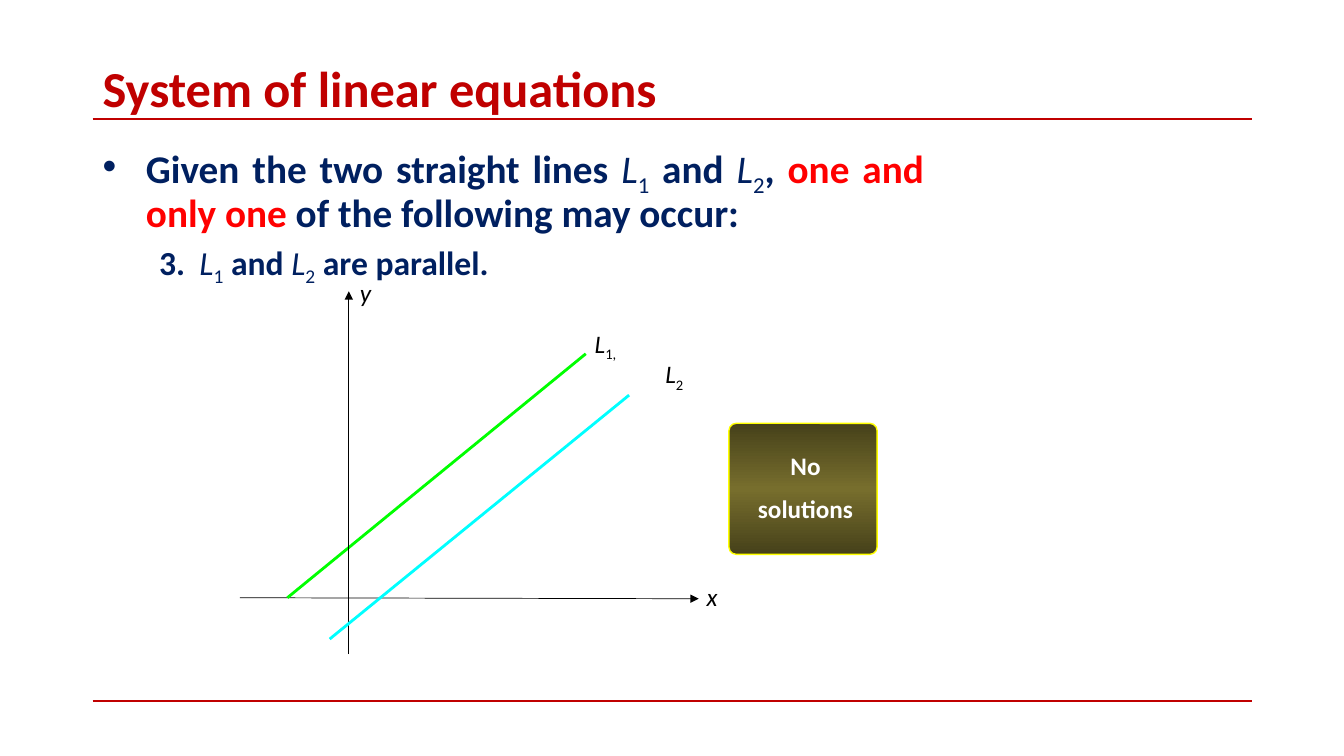
from lxml.etree import SubElement
from pptx import Presentation
from pptx.dml.color import RGBColor
from pptx.enum.shapes import MSO_CONNECTOR as Connector, MSO_SHAPE as Shape
from pptx.enum.text import MSO_ANCHOR as Anchor, PP_ALIGN as Align
from pptx.oxml import parse_xml
from pptx.oxml.ns import nsdecls, qn
from pptx.util import Inches, Pt

RED, NAVY, BRIGHT_RED, BLACK = "C00000", "002060", "FF0000", "000000"


def add_run(paragraph, text, size=18, color=BLACK, bold=False, italic=False, subscript=False):
    run = paragraph.add_run()
    run.text = text
    font = run.font
    font.name, font.size = "Calibri", Pt(size)
    font.bold, font.italic = bold, italic
    font.color.rgb = RGBColor.from_string(color)
    if subscript:
        run._r.get_or_add_rPr().set("baseline", "-25000")


def add_frame(left, top, width, height):
    box = slide.shapes.add_textbox(Inches(left), Inches(top), Inches(width), Inches(height))
    box.text_frame.word_wrap = True
    return box.text_frame


presentation = Presentation()
presentation.slide_width, presentation.slide_height = Inches(13.33), Inches(7.5)
slide = presentation.slides.add_slide(presentation.slide_layouts[6])

solution_box = slide.shapes.add_shape(
    Shape.ROUNDED_RECTANGLE, Inches(7.23), Inches(4.2), Inches(1.47), Inches(1.3))
solution_box.adjustments[0] = 0.056
solution_box.shadow.inherit = False
solution_box.line.color.rgb = RGBColor.from_string("FFFF00")
solution_box.line.width = Pt(1)
solution_box.fill.gradient()
solution_box.fill.gradient_angle = 270
stops = solution_box._element.spPr.find(qn("a:gradFill")).find(qn("a:gsLst"))
for stop in list(stops):
    stops.remove(stop)
for position, color in [(0, "46411A"), (50, "776E2D"), (100, "46411A")]:
    stops.append(parse_xml(
        f'<a:gs {nsdecls("a")} pos="{position * 1000}"><a:srgbClr val="{color}"/></a:gs>'))

title = add_frame(0.92, 0.61, 11.5, 0.58)
title.vertical_anchor = Anchor.MIDDLE
title.paragraphs[0].line_spacing = 0.9
add_run(title.paragraphs[0], "System of linear equations", 36, RED, bold=True)

body = add_frame(0.92, 1.39, 8.34, 1.6)
statement = body.paragraphs[0]
case = body.add_paragraph()
case.space_before = Pt(5)
for paragraph, margin, indent in [(statement, 0.43, -0.43), (case, 0.96, -0.4)]:
    paragraph.alignment = Align.JUSTIFY
    paragraph.line_spacing = 0.9
    properties = paragraph._p.get_or_add_pPr()
    properties.set("marL", str(Inches(margin)))
    properties.set("indent", str(Inches(indent)))
bullet_properties = statement._p.get_or_add_pPr()
SubElement(bullet_properties, qn("a:buFont"), typeface="Arial")
SubElement(bullet_properties, qn("a:buChar"), char="•")

for paragraph, size, opening, endings in [
    (statement, 28, "Given the two straight lines ",
     [(", ", NAVY), ("one and only one ", BRIGHT_RED), ("of the following may occur:", NAVY)]),
    (case, 24, "3.\t", [(" are parallel.", NAVY)]),
]:
    for lead, number in [(opening, "1"), (" and ", "2")]:
        add_run(paragraph, lead, size, NAVY, bold=True)
        add_run(paragraph, "L", size, NAVY, italic=True)
        add_run(paragraph, number, size, NAVY, subscript=True)
    for text, color in endings:
        add_run(paragraph, text, size, color, bold=True)

for x1, y1, x2, y2, color, width, arrow in [
    (0.92, 1.18, 12.42, 1.18, RED, 1.5, False),
    (0.92, 6.95, 12.42, 6.95, RED, 1.5, False),
    (2.38, 5.93, 6.93, 5.94, BLACK, 0.5, True),
    (2.85, 5.93, 5.81, 3.51, "00FF00", 2, False),
    (3.46, 6.49, 3.46, 2.89, BLACK, 0.5, True),
    (3.27, 6.34, 6.24, 3.92, "00FFFF", 2, False),
]:
    connector = slide.shapes.add_connector(
        Connector.STRAIGHT, Inches(x1), Inches(y1), Inches(x2), Inches(y2))
    connector.line.color.rgb = RGBColor.from_string(color)
    connector.line.width = Pt(width)
    if arrow:
        SubElement(connector.line._get_or_add_ln(), qn("a:tailEnd"), type="triangle")
    SubElement(connector._element.spPr, qn("a:effectLst"))

for left, top, width, name, number in [
    (3.47, 2.7, 0.3, "y", ""),
    (6.91, 5.72, 0.38, "x", ""),
    (5.8, 3.21, 0.82, "L", "1,"),
    (6.5, 3.51, 0.82, "L", "2"),
]:
    label = add_frame(left, top, width, 0.4).paragraphs[0]
    add_run(label, name, italic=True)
    if number:
        add_run(label, number, subscript=True)

answer = add_frame(7.16, 4.42, 1.66, 0.86)
answer_end = answer.add_paragraph()
answer_end.space_before = Pt(9)
for paragraph, text in [(answer.paragraphs[0], "No"), (answer_end, "solutions")]:
    paragraph.alignment = Align.CENTER
    add_run(paragraph, text, color="FFFFFF", bold=True)

presentation.save("out.pptx")
